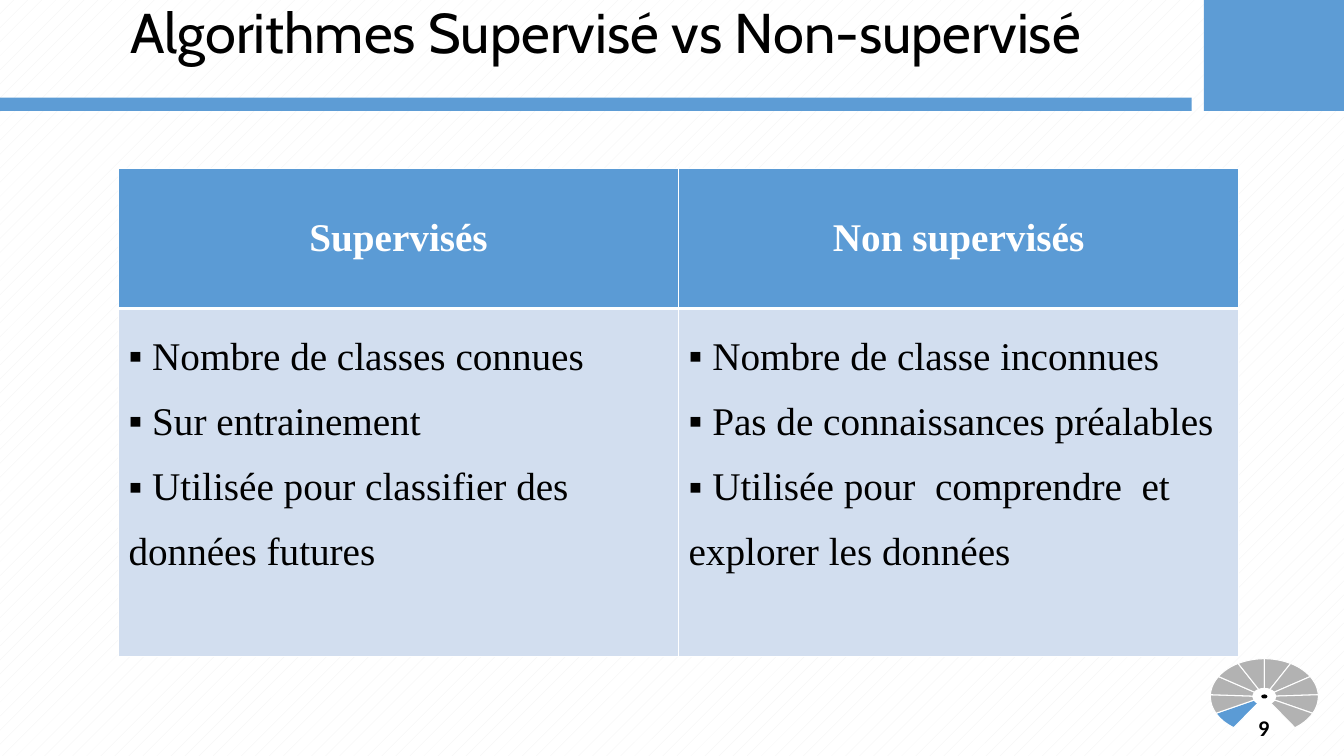
from math import cos, radians, sin

from lxml.etree import SubElement
from pptx import Presentation
from pptx.dml.color import RGBColor
from pptx.enum.dml import MSO_PATTERN
from pptx.enum.shapes import MSO_SHAPE as SHAPE
from pptx.enum.text import MSO_ANCHOR as ANCHOR, PP_ALIGN as ALIGN
from pptx.oxml import parse_xml
from pptx.oxml.ns import qn
from pptx.util import Inches, Pt

TITLE = "Algorithmes Supervisé vs Non-supervisé"
COMPARISON = {
    "Supervisés": [
        " Nombre de classes connues",
        " Sur entrainement",
        " Utilisée pour classifier des données futures",
    ],
    "Non supervisés": [
        " Nombre de classe inconnues",
        " Pas de connaissances préalables",
        " Utilisée pour  comprendre  et explorer les données",
    ],
}
PAGE_NUMBER = "9"

BANNER, BLUE, PALE, GREY = "5D9CD5", "5B9BD5", "D2DEEF", "B2B2B2"
WHITE, BLACK, STRIPE = "FFFFFF", "000000", "F2F2F2"
SERIF = "Times New Roman"
BANNERS = [(0, 0.97, 11.82, 0.13), (11.94, 0, 1.39, 1.1)]
ROW_HEIGHTS = [1.39, 3.45]
COLUMN_WIDTH = 5.555
FAN_X, FAN_Y, FAN_RX, FAN_RY = 12.54, 6.91, 0.535, 0.375
WEDGES, WEDGE_ANGLE, FAN_START = 10, 29.1, 124.5
HUB = [(0.23, 0.16, WHITE), (0.05, 0.03, BLACK)]
DRAWING_NS = "http://schemas.openxmlformats.org/drawingml/2006/main"


def color(hex_code):
    return RGBColor.from_string(hex_code)


def paint(shape, fill, line=None):
    shape.shadow.inherit = False
    shape.fill.solid()
    shape.fill.fore_color.rgb = color(fill)
    if line:
        shape.line.color.rgb = color(line)
        shape.line.width = Pt(0.75)
    else:
        shape.line.fill.background()


def write(frame, *lines, font, size, ink=BLACK, bold=False, align=ALIGN.LEFT,
          spacing=1.0, bullet=None):
    frame.word_wrap = True
    for index, text in enumerate(lines):
        paragraph = frame.add_paragraph() if index else frame.paragraphs[0]
        paragraph.alignment = align
        paragraph.line_spacing = spacing
        if bullet:
            properties = paragraph._p.get_or_add_pPr()
            SubElement(properties, qn("a:buFont")).set("typeface", font)
            SubElement(properties, qn("a:buChar")).set("char", bullet)
        run = paragraph.add_run()
        run.text = text
        run.font.name = font
        run.font.size = Pt(size)
        run.font.bold = bold
        run.font.color.rgb = color(ink)


def text_box(shapes, box, text, **style):
    label = shapes.add_textbox(*map(Inches, box))
    label.text_frame.vertical_anchor = ANCHOR.MIDDLE
    write(label.text_frame, text, align=ALIGN.CENTER, **style)


def style_cell(cell, fill, **widths):
    cell.fill.solid()
    cell.fill.fore_color.rgb = color(fill)
    for index, side in enumerate("LRTB"):
        border = parse_xml(
            f'<a:ln{side} xmlns:a="{DRAWING_NS}" w="{Pt(widths.get(side, 0.5))}">'
            f'<a:solidFill><a:srgbClr val="{WHITE}"/></a:solidFill></a:ln{side}>')
        cell._tc.get_or_add_tcPr().insert(index, border)


def add_wedge(shapes, start, sweep, fill, steps=12):
    angles = [radians(start + sweep * step / steps) for step in range(steps + 1)]
    rim = [(Inches(FAN_X + FAN_RX * cos(a)), Inches(FAN_Y + FAN_RY * sin(a))) for a in angles]
    outline = shapes.build_freeform(Inches(FAN_X), Inches(FAN_Y))
    outline.add_line_segments(rim, close=True)
    paint(outline.convert_to_shape(), fill, WHITE)


def add_banners(slide):
    for box in BANNERS:
        paint(slide.shapes.add_shape(SHAPE.RECTANGLE, *map(Inches, box)), BANNER)


def add_fan(slide):
    fan = slide.shapes.add_group_shape().shapes
    opening = 360 - WEDGES * WEDGE_ANGLE
    add_wedge(fan, FAN_START - opening, opening, WHITE)
    for index in range(WEDGES):
        add_wedge(fan, FAN_START + index * WEDGE_ANGLE, WEDGE_ANGLE, GREY if index else BLUE)
    for width, height, fill in HUB:
        box = (FAN_X - width / 2, FAN_Y - height / 2, width, height)
        paint(fan.add_shape(SHAPE.OVAL, *map(Inches, box)), fill, fill)
    text_box(fan, (12.16, 7.08, 0.75, 0.27), PAGE_NUMBER, font="Calibri", size=16, bold=True)


def add_comparison(slide):
    columns = len(COMPARISON)
    box = (1.175, 1.67, COLUMN_WIDTH * columns, sum(ROW_HEIGHTS))
    table = slide.shapes.add_table(len(ROW_HEIGHTS), columns, *map(Inches, box)).table
    for row, height in zip(table.rows, ROW_HEIGHTS):
        row.height = Inches(height)
    for index, (heading, points) in enumerate(COMPARISON.items()):
        table.columns[index].width = Inches(COLUMN_WIDTH)
        head, body = table.cell(0, index), table.cell(1, index)
        style_cell(head, BLUE, B=3)
        style_cell(body, PALE, T=3)
        write(head.text_frame, heading, font=SERIF, size=28, ink=WHITE, bold=True,
              align=ALIGN.CENTER, spacing=2.0)
        write(body.text_frame, *points, font=SERIF, size=28, spacing=1.5, bullet="▪")


def main():
    deck = Presentation()
    deck.slide_width, deck.slide_height = Inches(13.33), Inches(7.5)
    slide = deck.slides.add_slide(deck.slide_layouts[6])
    backdrop = slide.background.fill
    backdrop.patterned()
    backdrop.pattern = MSO_PATTERN.PERCENT_5
    backdrop.fore_color.rgb = color(STRIPE)
    backdrop.back_color.rgb = color(WHITE)
    add_banners(slide)
    add_fan(slide)
    text_box(slide.shapes, (1.11, 0, 9.79, 0.71), TITLE, font="Cabin", size=40, spacing=0.9)
    add_comparison(slide)
    deck.save("out.pptx")


if __name__ == "__main__":
    main()
